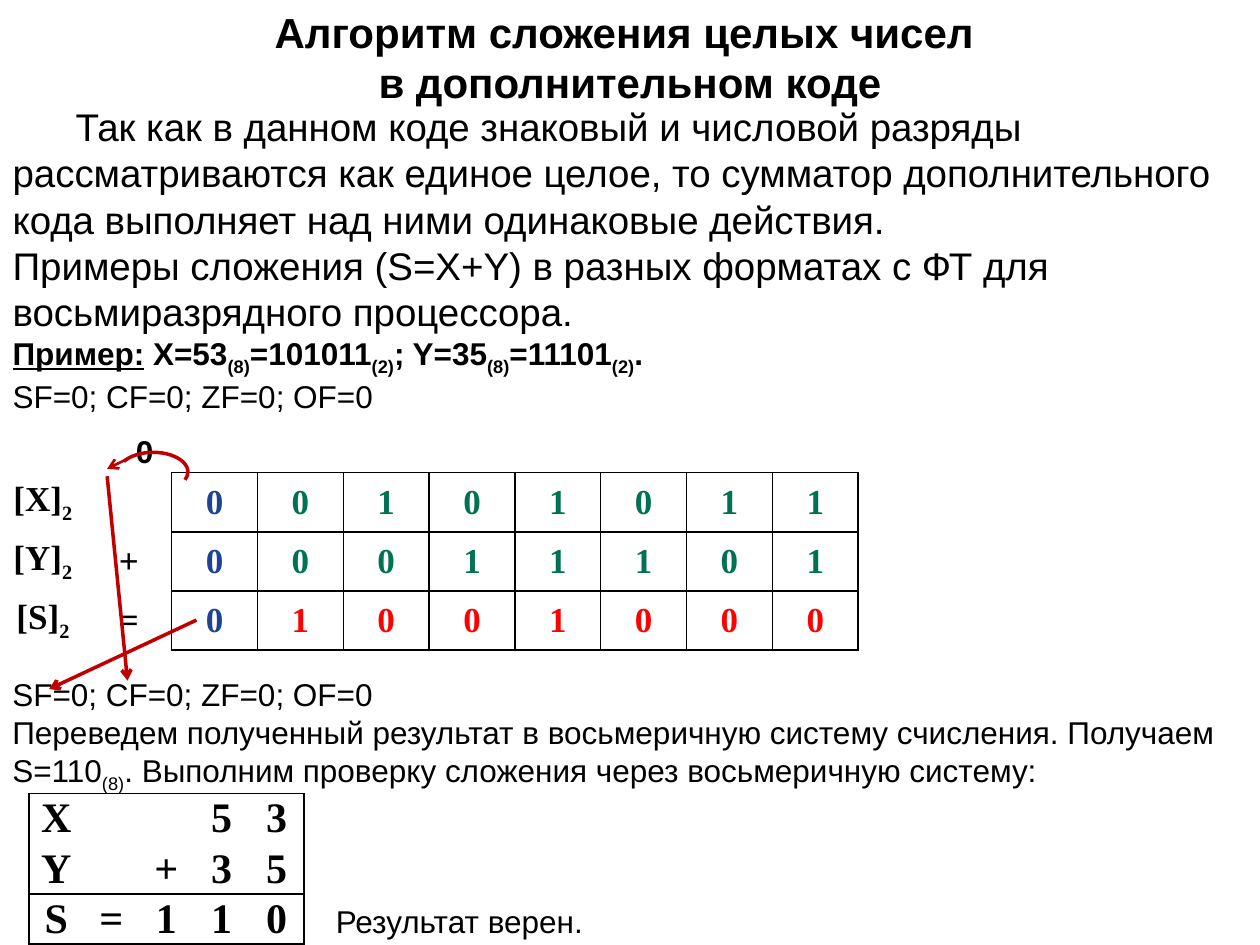
from pptx import Presentation
from pptx.dml.color import RGBColor
from pptx.enum.shapes import MSO_CONNECTOR as LINK, MSO_SHAPE as SHAPE
from pptx.enum.text import MSO_ANCHOR as ANCHOR, MSO_AUTO_SIZE as FIT, PP_ALIGN as ALIGN
from pptx.oxml.ns import qn
from pptx.util import Cm, Pt
from lxml.etree import SubElement, Element

BLACK = RGBColor(0, 0, 0)
BLUE = RGBColor(0x1E, 0x43, 0x96)
GREEN = RGBColor(0, 0x72, 0x54)
RED = RGBColor(0xFF, 0, 0)
DARK = RGBColor(0xC0, 0, 0)
SANS, SERIF = "Arial", "Times New Roman"

FLAGS = "SF=0; СF=0; ZF=0; OF=0"
TITLE = ["Алгоритм сложения целых чисел ", "в дополнительном коде"]
# Runs alternate between plain text and subscript
BODY = [
    (["Так как в данном коде знаковый и числовой разряды рассматриваются как единое целое, "
      "то сумматор дополнительного кода выполняет над ними одинаковые действия."], 22, False),
    (["Примеры сложения (S=X+Y) в разных форматах с ФТ для восьмиразрядного процессора."], 22, False),
    (["Пример:", "", " X=53", "(8)", "=101011", "(2)", "; Y=35", "(8)", "=11101", "(2)", "."], 18, True),
    ([FLAGS], 18, False),
]
NOTES = [
    ((0, 13.49, 25.4, 1.02), [FLAGS], False),
    ((0, 14.25, 25.4, 1.8),
     ["Переведем полученный результат в восьмеричную систему счисления. Получаем S=110", "(8)",
      ". Выполним проверку сложения через восьмеричную систему:"], False),
    ((6.52, 18.06, 8, 0.95), ["Результат верен."], False),
]
CARRY = ((2.49, 8.59, 0.79, 1.02), ["0"], True)
BITS = [("X", "", "00101011", GREEN), ("Y", "+", "00011101", GREEN), ("S", "=", "01001000", RED)]
CHECK = [["X", "", "", "5", "3"], ["Y", "", "+", "3", "5"], ["S", "=", "1", "1", "0"]]
ARROWS = [
    ((3.96, 12.5), (0.99, 13.89), 2),
    ((2.16, 9.6), (2.57, 13.72), 2),
    ((2.57, 9.25), (2.16, 9.45), 1.5),
]


def add_runs(para, parts, size, bold=False, face=SANS, color=BLACK):
    for i, text in enumerate(parts):
        if not text:
            continue
        run = para.add_run()
        run.text = text
        font = run.font
        font.name, font.size, font.bold = face, Pt(size), bold
        font.color.rgb = color
        if i % 2:
            run._r.get_or_add_rPr().set("baseline", "-25000")


def place(shape, box):
    shape.left, shape.top, shape.width, shape.height = map(Cm, box)
    frame = shape.text_frame
    frame.word_wrap, frame.auto_size = True, FIT.NONE
    frame.vertical_anchor = ANCHOR.TOP
    return frame


def add_note(slide, box, parts, bold):
    frame = place(slide.shapes.add_textbox(0, 0, 0, 0), box)
    add_runs(frame.paragraphs[0], parts, 18, bold)


def set_edges(cell, sides):
    props = cell._tc.get_or_add_tcPr()
    for i, side in enumerate("LRTB"):
        line = Element(qn(f"a:ln{side}"), w=str(Pt(1)))
        if side in sides:
            fill = SubElement(line, qn("a:solidFill"))
            SubElement(fill, qn("a:srgbClr"), val=str(BLACK))
        else:
            SubElement(line, qn("a:noFill"))
        props.insert(i, line)


def add_grid(slide, left, top, wide, high, rows, size, edges):
    cols = len(rows[0])
    table = slide.shapes.add_table(len(rows), cols, Cm(left), Cm(top),
                                   Cm(wide * cols), Cm(high * len(rows))).table
    table.first_row = table.horz_banding = False
    for col in table.columns:
        col.width = Cm(wide)
    for r, row in enumerate(rows):
        table.rows[r].height = Cm(high)
        for c, (parts, color) in enumerate(row):
            cell = table.cell(r, c)
            cell.fill.background()
            cell.vertical_anchor = ANCHOR.MIDDLE
            cell.margin_left = cell.margin_right = Cm(0.18)
            cell.margin_top = cell.margin_bottom = 0
            para = cell.text_frame.paragraphs[0]
            para.alignment = ALIGN.CENTER
            add_runs(para, parts, size, True, SERIF, color)
            set_edges(cell, edges(r, c))


def bit_edges(r, c):
    return "LRTB" if c > 1 else "R" if c else ""


def sum_edges(r, c):
    return {0: "T", 1: "B", 2: "TB"}[r] + {0: "L", 4: "R"}.get(c, "")


def style_line(shape, width):
    shape.line.color.rgb = DARK
    shape.line.width = Pt(width)


def add_arrow(slide, start, end, width):
    link = slide.shapes.add_connector(LINK.STRAIGHT, *map(Cm, start + end))
    style_line(link, width)
    SubElement(link.line._get_or_add_ln(), qn("a:tailEnd"), type="arrow")
    SubElement(link._element.spPr, qn("a:effectLst"))


def add_head(slide):
    frame = place(slide.shapes.title, (0, 0, 25.4, 2.08))
    para = frame.paragraphs[0]
    para.alignment = ALIGN.CENTER
    add_runs(para, TITLE[:1], 24, True)
    para.add_line_break()
    add_runs(para, TITLE[1:], 24, True)


def add_body(slide):
    frame = place(slide.placeholders[1], (0, 2.08, 25.4, 6.48))
    frame.margin_top = 0
    for i, (parts, size, bold) in enumerate(BODY):
        para = frame.add_paragraph() if i else frame.paragraphs[0]
        para.space_before = Pt(0)
        props = para._p.get_or_add_pPr()
        props.set("marL", "0")
        props.set("indent", str(0 if i else Cm(1.27)))
        SubElement(props, qn("a:buNone"))
        add_runs(para, parts, size, bold)
        if bold:
            para.runs[0].font.underline = True


def main():
    deck = Presentation()
    deck.slide_width, deck.slide_height = Cm(25.4), Cm(19.05)
    slide = deck.slides.add_slide(deck.slide_layouts[1])
    add_head(slide)
    add_body(slide)
    bits = [[([f"[{name}]", "2"], BLACK), ([sign], BLACK), ([word[0]], BLUE)]
            + [([bit], tint) for bit in word[1:]] for name, sign, word, tint in BITS]
    add_grid(slide, 0, 9.53, 1.73, 1.19, bits, 20, bit_edges)
    sums = [[([text], BLACK) for text in row] for row in CHECK]
    add_grid(slide, 0.58, 16, 1.11, 1.01, sums, 24, sum_edges)
    for note in NOTES + [CARRY]:
        add_note(slide, *note)
    arc = slide.shapes.add_shape(SHAPE.ARC, Cm(2.39), Cm(9.12), Cm(1.4), Cm(0.79))
    arc.adjustments[0], arc.adjustments[1] = 119.79, 8.35
    arc.shadow.inherit = False
    arc.fill.background()
    style_line(arc, 2)
    for arrow in ARROWS:
        add_arrow(slide, *arrow)
    deck.save("out.pptx")


if __name__ == "__main__":
    main()
